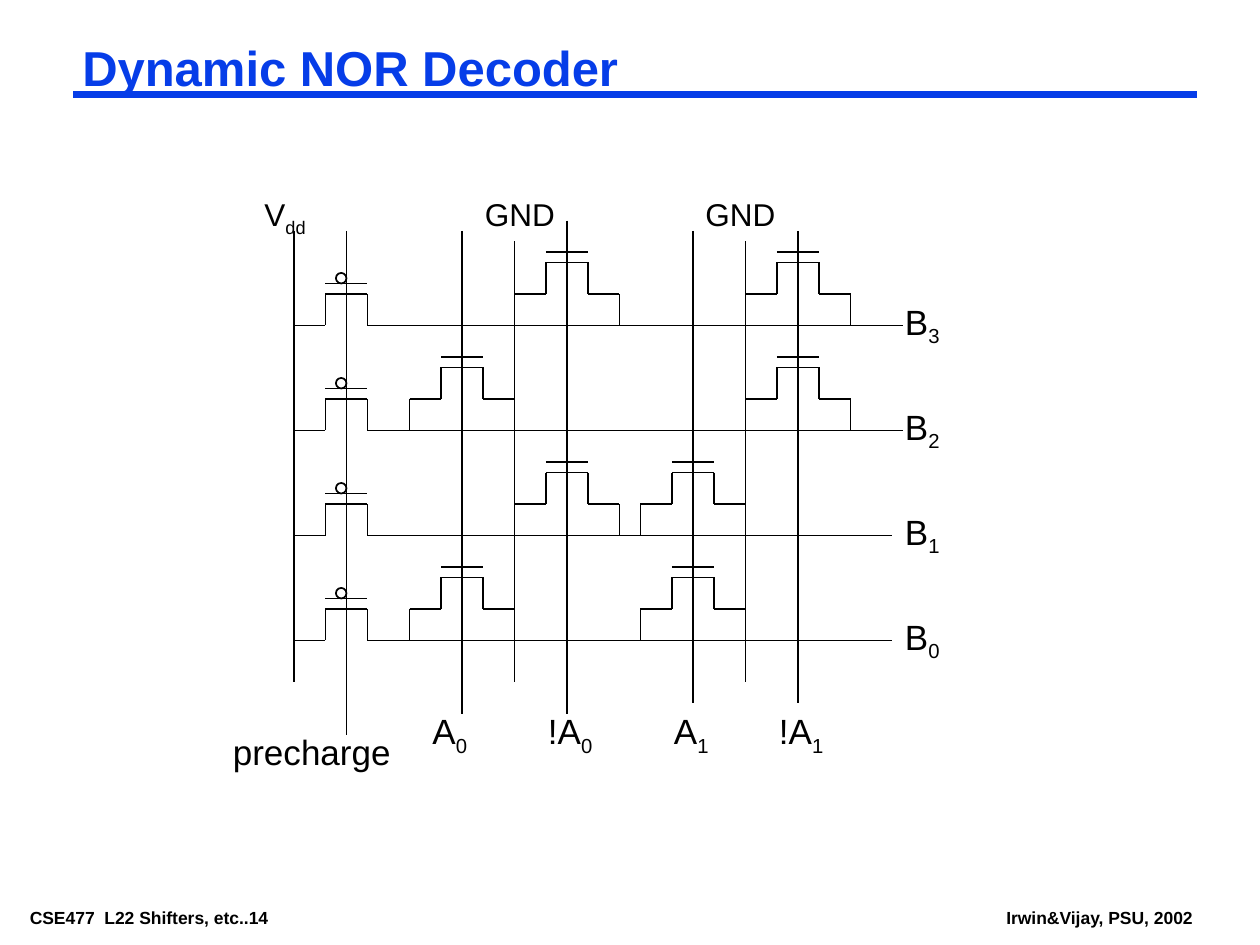
import pptx
import pptx.dml.color
import pptx.enum.shapes
import pptx.enum.text
import pptx.oxml
import pptx.oxml.ns
import pptx.util

CELL = pptx.util.Inches(1) // 12  # the slide is a grid of 120 columns by 90 rows
BLUE, BLACK = "063DE8", "000000"
LINE = pptx.enum.shapes.MSO_CONNECTOR.STRAIGHT
OVAL = pptx.enum.shapes.MSO_SHAPE.OVAL


def grid(*cells):
    return [pptx.util.Emu(round(n * CELL)) for n in cells]


def paint(code):
    return pptx.dml.color.RGBColor.from_string(code)


def wire(shapes, x1, y1, x2, y2, color=BLACK, width=1):
    line = shapes.add_connector(LINE, *grid(x1, y1, x2, y2))
    line.line.color.rgb = paint(color)
    line.line.width = pptx.util.Pt(width)
    props = line._element.spPr
    props.append(pptx.oxml.parse_xml(
        f'<a:effectLst {pptx.oxml.ns.nsdecls("a")}/>'))


def write(shapes, text, box, size=20, color=BLACK, bold=False,
          inset=(0.1, 0.05), space=None):
    """Place text in a box; what follows an underscore is a subscript."""
    frame = shapes.add_textbox(*grid(*box)).text_frame
    frame.word_wrap = True
    frame.margin_left = frame.margin_right = pptx.util.Inches(inset[0])
    frame.margin_top = frame.margin_bottom = pptx.util.Inches(inset[1])
    frame.vertical_anchor = pptx.enum.text.MSO_ANCHOR.TOP
    para = frame.paragraphs[0]
    para.line_spacing = space
    for spot, part in enumerate(text.split("_")):
        run = para.add_run()
        run.text = part
        run.font.name = "Arial"
        run.font.size = pptx.util.Pt(size)
        run.font.bold = bold
        run.font.color.rgb = paint(color)
        if spot:
            run._r.get_or_add_rPr().set("baseline", "-25000")


def header(shapes, left, top, width):
    wire(shapes, left, top + 5, left + width, top + 5, BLUE, 4.5)
    write(shapes, "Dynamic NOR Decoder", (left, top, width, 5.5), size=28,
          color=BLUE, bold=True, inset=(0.07, 0.03), space=0.87)


def footer(shapes, top):
    for text, left, width in (("CSE477  L22 Shifters, etc..14", 2, 31),
                              ("Irwin&Vijay, PSU, 2002", 95, 20)):
        write(shapes, text, (left, top, width, 2.7), size=10, bold=True,
              inset=(0.07, 0.03))


def gate(shapes, left, top, bubble=False):
    """Draw a transistor 10 columns wide and 4 rows high as one group."""
    parts = shapes.add_group_shape().shapes
    a, b, end = left + 3, left + 7, left + 10
    roof, foot = top + 1, top + 4
    for ends in ((a, roof, b, roof), (a, roof, a, foot), (b, roof, b, foot),
                 (left, foot, a, foot), (b, foot, end, foot),
                 (a, top, b, top)):
        wire(parts, *ends)
    if bubble:
        ring = parts.add_shape(OVAL, *grid(left + 4, top - 1, 1, 1))
        ring.shadow.inherit = False
        ring.fill.background()
        ring.line.color.rgb = paint(BLACK)
        ring.line.width = pptx.util.Pt(1)


def columns(shapes, left, top):
    """Draw the vertical wires: offset, start, end, then label and its box."""
    for x, start, end, text, dx, dy, width, size in (
            (0, 4, 47, "V_dd", -4, 0, 9, 18),
            (5, 4, 52, "precharge", -7, 51, 19, 20),
            (16, 4, 50, "A_0", 12, 49, 9, 20),
            (21, 5, 47, "GND", 17, 0, 10, 18),
            (26, 3, 50, "!A_0", 23, 49, 9, 20),
            (38, 4, 49, "A_1", 35, 49, 9, 20),
            (43, 5, 47, "GND", 38, 0, 10, 18),
            (48, 4, 49, "!A_1", 45, 49, 9, 20)):
        wire(shapes, left + x, top + start, left + x, top + end)
        write(shapes, text, (left + dx, top + dy, width, 5.5), size=size)


def row(shapes, left, base, bit):
    """Draw one output line with its pull-up and two pull-downs."""
    wire(shapes, left + 9, base, left + (58 if bit > 1 else 57), base)
    gate(shapes, left, base - 4, bubble=True)
    for rail, high in ((left + 21, bit & 1), (left + 43, bit & 2)):
        side = rail if high else rail - 10
        drop = rail + 10 if high else rail - 10
        gate(shapes, side, base - 7)
        wire(shapes, drop, base - 3, drop, base)
    write(shapes, f"B_{bit}", (left + 57, base - 3, 9, 5.8))


def decoder(shapes, left, top):
    columns(shapes, left, top)
    for step in range(4):
        row(shapes, left, top + 13 + 10 * step, 3 - step)


def main():
    deck = pptx.Presentation()
    deck.slide_width, deck.slide_height = grid(120, 90)
    shapes = deck.slides.add_slide(deck.slide_layouts[6]).shapes
    header(shapes, 7, 4, 107)
    decoder(shapes, 28, 18)
    footer(shapes, 86)
    deck.save("out.pptx")


if __name__ == "__main__":
    main()
